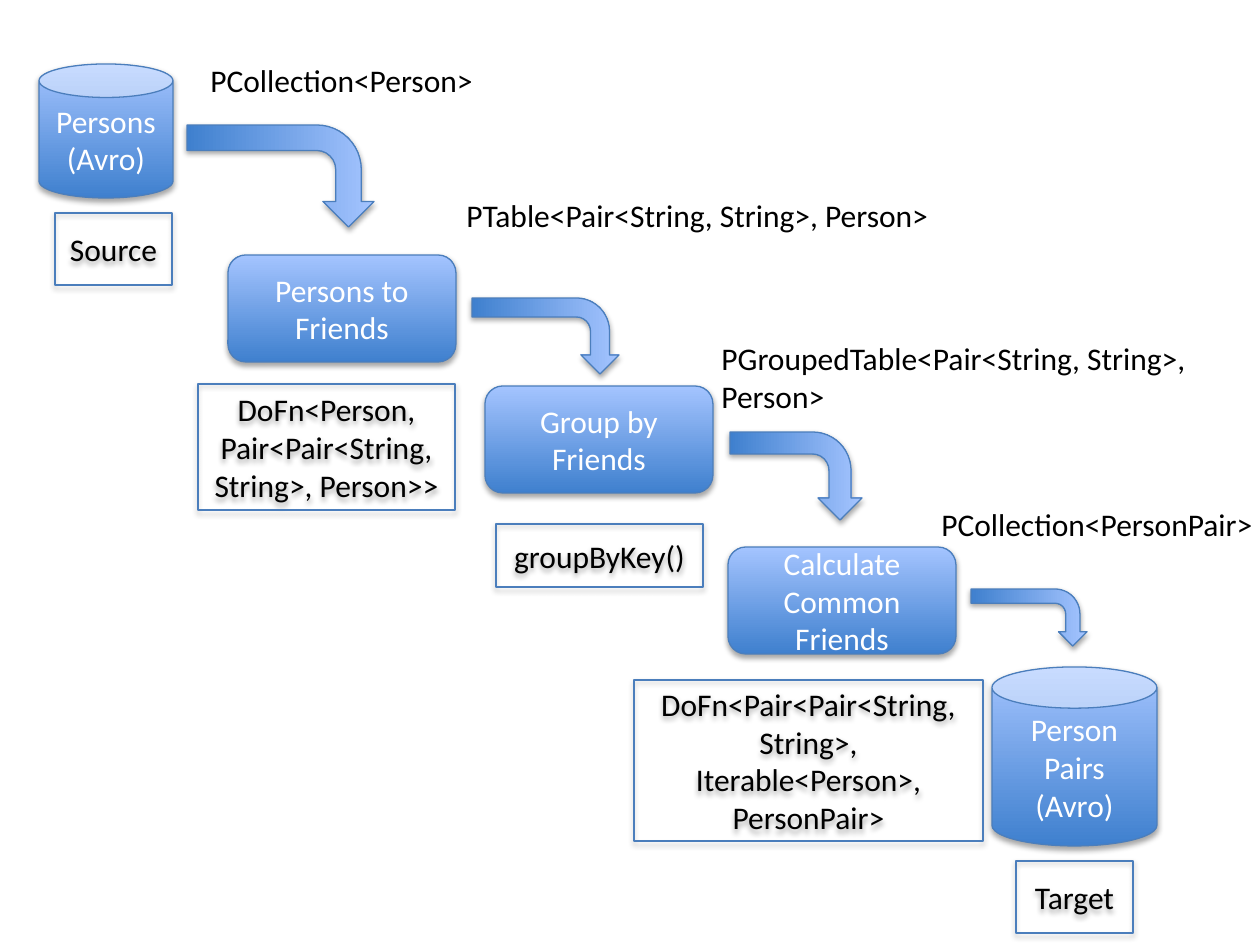
import pptx
import pptx.util
import pptx.dml.color
import pptx.enum.shapes
import pptx.enum.text
import pptx.oxml
import pptx.oxml.ns

SCALE = 914400 / 126
COLORS = {"dark": "3F80CE", "light": "A4C4FF", "edge": "4B7EBC",
          "white": "FFFFFF", "black": "000000"}
FONT = {"name": "Calibri", "size": pptx.util.Pt(18)}
KINDS = pptx.enum.shapes.MSO_SHAPE
ALIGN = pptx.enum.text.PP_ALIGN
ANCHOR = pptx.enum.text.MSO_ANCHOR
FIT = pptx.enum.text.MSO_AUTO_SIZE
SHADOW = (
    '<a:effectLst %s><a:outerShdw blurRad="40000" dist="23000" dir="5400000" '
    'rotWithShape="0"><a:srgbClr val="%s"><a:alpha val="35000"/></a:srgbClr>'
    '</a:outerShdw></a:effectLst>'
) % (pptx.oxml.ns.nsdecls("a"), COLORS["black"])


def emu(box):
    return [pptx.util.Emu(round(n * SCALE)) for n in box]


def shift(box, part):
    return box[0] + part[0], box[1] + part[1], part[2], part[3]


def color(name):
    return pptx.dml.color.RGBColor.from_string(COLORS[name])


def write(shape, text, tone, align, anchor):
    frame = shape.text_frame
    frame.word_wrap = True
    frame.vertical_anchor = anchor
    para = frame.paragraphs[0]
    para.alignment = align
    run = para.add_run()
    run.text = text
    for key, value in FONT.items():
        setattr(run.font, key, value)
    run.font.color.rgb = color(tone)


def draw(slide, kind, box, filled=True):
    shape = slide.shapes.add_shape(kind, *emu(box))
    if filled:
        shape.fill.gradient()
        shape.fill.gradient_angle = 90
        for stop, tone in zip(shape.fill.gradient_stops, ("dark", "light")):
            stop.color.rgb = color(tone)
    else:
        shape.fill.background()
    shape.line.color.rgb = color("edge")
    shape.line.width = pptx.util.Pt(0.75)
    shape.element.spPr.append(pptx.oxml.parse_xml(SHADOW))
    return shape


def bend(slide, box):
    x, y, w, h = box
    side = (w - h) / 2
    arrow = draw(slide, KINDS.BENT_ARROW, (x + side, y - side, h, w))
    arrow.rotation = 90


def label(slide, box, text):
    shape = slide.shapes.add_textbox(*emu(box))
    write(shape, text, "black", ALIGN.LEFT, ANCHOR.TOP)
    shape.text_frame.auto_size = FIT.SHAPE_TO_FIT_TEXT


def stage(slide, box, kind, name, note, flow=None):
    node = draw(slide, kind, box)
    write(node, name, "white", ALIGN.CENTER, ANCHOR.MIDDLE)
    part, text = note
    frame = draw(slide, KINDS.RECTANGLE, shift(box, part), False)
    write(frame, text, "black", ALIGN.CENTER, ANCHOR.MIDDLE)
    if flow:
        arrow, part, text = flow
        bend(slide, shift(box, arrow))
        label(slide, shift(box, part), text)


STAGES = [
    ((39, 64, 134, 134), KINDS.CAN, "Persons (Avro)",
     ((16, 149, 117, 72), "Source"),
     ((148, 61, 187, 102), (159, -9, 323, 50), "PCollection<Person>")),
    ((228, 255, 228, 107), KINDS.ROUNDED_RECTANGLE, "Persons to Friends",
     ((-30, 129, 257, 126), "DoFn<Person, Pair<Pair<String, String>, Person>>"),
     ((244, 43, 147, 76), (226, -65, 548, 50),
      "PTable<Pair<String, String>, Person>")),
    ((485, 386, 228, 107), KINDS.ROUNDED_RECTANGLE, "Group by Friends",
     ((11, 138, 207, 63), "groupByKey()"),
     ((245, 46, 132, 88), (224, -53, 548, 89),
      "PGroupedTable<Pair<String, String>, Person>")),
    ((728, 547, 228, 107), KINDS.ROUNDED_RECTANGLE, "Calculate Common Friends",
     ((-94, 133, 349, 161),
      "DoFn<Pair<Pair<String, String>, Iterable<Person>, PersonPair>"),
     ((243, 42, 116, 57), (201, -48, 339, 50), "PCollection<PersonPair>")),
    ((992, 667, 165, 179), KINDS.CAN, "Person Pairs (Avro)",
     ((24, 194, 117, 72), "Target")),
]

deck = pptx.Presentation()
deck.slide_width, deck.slide_height = emu((1260, 945))
page = deck.slides.add_slide(deck.slide_layouts[6])
for item in STAGES:
    stage(page, *item)
deck.save("out.pptx")
